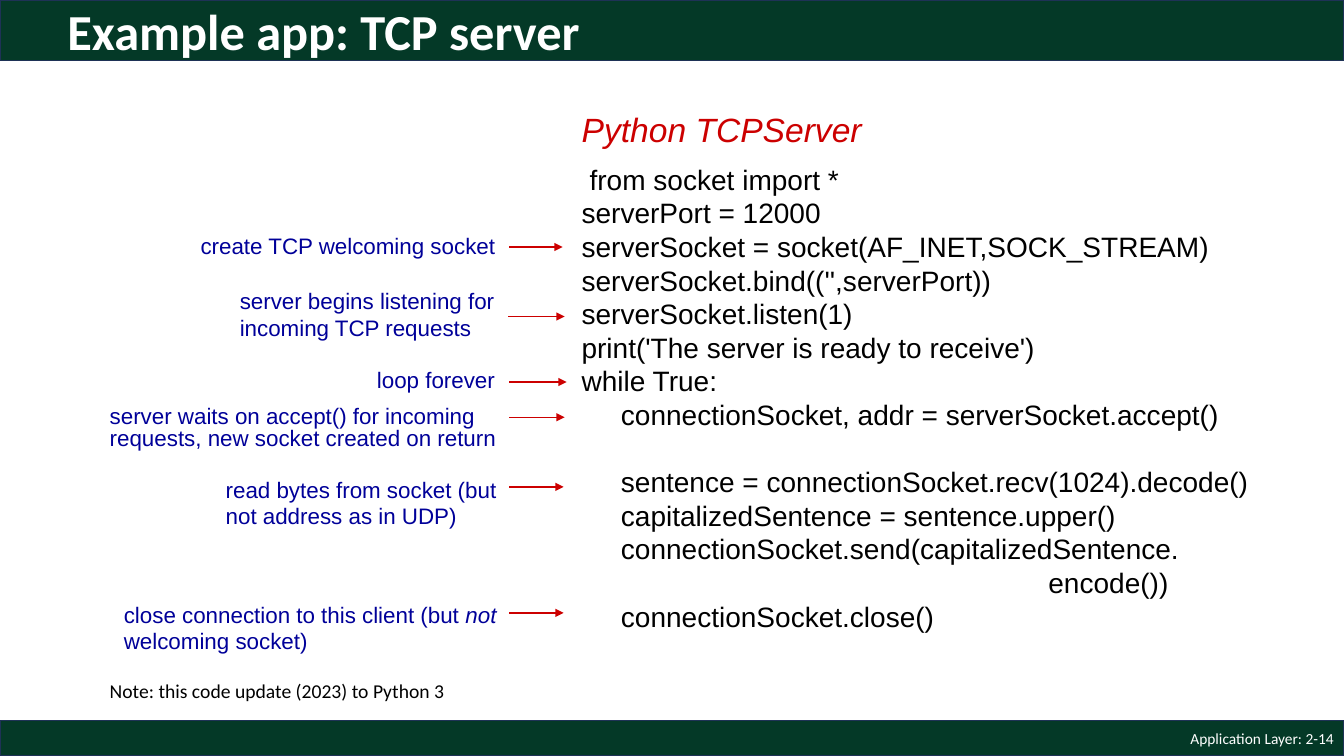
from dataclasses import dataclass

import pptx
import pptx.dml.color
import pptx.enum.shapes
import pptx.enum.text
import pptx.oxml.ns
import pptx.shapes.autoshape
import pptx.slide
import pptx.text.text
import pptx.util
from lxml import etree

PX = 9144  # EMU in one px, at 100 px to the inch
SLIDE_WIDTH, SLIDE_HEIGHT = 1333, 750
ALIGN = pptx.enum.text.PP_ALIGN
ANCHOR = pptx.enum.text.MSO_ANCHOR


@dataclass(frozen=True)
class Theme:
    bar: str = "043927"
    bar_edge: str = "1E3256"
    light: str = "FFFFFF"
    ink: str = "000000"
    note: str = "000099"
    accent: str = "CC0000"
    code_font: str = "Arial"
    frame_font: str = "Calibri"
    title_size: int = 36
    heading_size: int = 24
    code_size: int = 20
    note_size: int = 16
    remark_size: int = 14
    footer_size: int = 11
    leading: float = 1.2


THEME = Theme()


@dataclass(frozen=True)
class Area:
    left: int
    top: int
    width: int
    height: int

    def emu(self) -> tuple[int, int, int, int]:
        return self.left * PX, self.top * PX, self.width * PX, self.height * PX


@dataclass(frozen=True)
class Style:
    size: int
    color: str
    font: str = THEME.code_font
    bold: bool = False
    italic: bool = False


@dataclass(frozen=True)
class CodeLine:
    text: str
    indent: int = 0
    gap_lines: int = 0


@dataclass(frozen=True)
class Span:
    text: str
    italic: bool = False


@dataclass(frozen=True)
class Note:
    area: Area
    spans: tuple[Span, ...]
    arrow_start: int
    arrow_end: int
    arrow_y: int
    leading: float = THEME.leading


BODY_INDENT = 39
CODE = (
    CodeLine("from socket import *", 8),
    CodeLine("serverPort = 12000"),
    CodeLine("serverSocket = socket(AF_INET,SOCK_STREAM)"),
    CodeLine("serverSocket.bind(('',serverPort))"),
    CodeLine("serverSocket.listen(1)"),
    CodeLine("print('The server is ready to receive')"),
    CodeLine("while True:"),
    CodeLine("connectionSocket, addr = serverSocket.accept()", BODY_INDENT),
    CodeLine("sentence = connectionSocket.recv(1024).decode()", BODY_INDENT, gap_lines=1),
    CodeLine("capitalizedSentence = sentence.upper()", BODY_INDENT),
    CodeLine("connectionSocket.send(capitalizedSentence.", BODY_INDENT),
    CodeLine("encode())", 463),
    CodeLine("connectionSocket.close()", BODY_INDENT),
)
NOTES = (
    Note(Area(189, 225, 335, 37), (Span("create TCP welcoming socket"),), 505, 558, 245),
    Note(Area(228, 280, 314, 64),
         (Span("server begins listening for incoming TCP requests"),), 504, 560, 314),
    Note(Area(364, 363, 203, 33), (Span("loop forever"),), 505, 562, 379, leading=1),
    Note(Area(99, 398, 467, 55),
         (Span("server waits on accept() for incoming requests, new socket created on return"),),
         505, 560, 414, leading=1),
    Note(Area(214, 467, 300, 64),
         (Span("read bytes from socket (but not address as in UDP)"),), 505, 559, 483),
    Note(Area(113, 591, 427, 64),
         (Span("close connection to this client (but "), Span("not", italic=True),
          Span(" welcoming socket)")), 505, 559, 608),
)


def rgb(color: str) -> pptx.dml.color.RGBColor:
    return pptx.dml.color.RGBColor.from_string(color)


def add_bar(page: pptx.slide.Slide, area: Area) -> None:
    bar = page.shapes.add_shape(pptx.enum.shapes.MSO_SHAPE.RECTANGLE, *area.emu())
    bar.shadow.inherit = False
    bar.fill.solid()
    bar.fill.fore_color.rgb = rgb(THEME.bar)
    bar.line.color.rgb = rgb(THEME.bar_edge)
    bar.line.width = pptx.util.Pt(1)


def add_box(page: pptx.slide.Slide, area: Area,
            anchor: ANCHOR = ANCHOR.TOP) -> pptx.text.text.TextFrame:
    frame = page.shapes.add_textbox(*area.emu()).text_frame
    frame.word_wrap = True
    frame.vertical_anchor = anchor
    return frame


def add_span(para: pptx.text.text._Paragraph, text: str, style: Style,
             italic: bool = False) -> None:
    span = para.add_run()
    span.text = text
    span.font.name = style.font
    span.font.size = pptx.util.Pt(style.size)
    span.font.color.rgb = rgb(style.color)
    span.font.bold = style.bold
    span.font.italic = style.italic or italic


def add_label(page: pptx.slide.Slide, area: Area, text: str, style: Style,
              anchor: ANCHOR = ANCHOR.TOP, align: ALIGN = ALIGN.LEFT) -> None:
    para = add_box(page, area, anchor).paragraphs[0]
    para.alignment = align
    if style.font == THEME.code_font:
        para.line_spacing = pptx.util.Pt(style.size * THEME.leading)
    add_span(para, text, style)


def add_code(page: pptx.slide.Slide, area: Area, lines: tuple[CodeLine, ...]) -> None:
    style = Style(THEME.code_size, THEME.ink)
    pitch = pptx.util.Pt(style.size * THEME.leading)
    frame = add_box(page, area)
    for number, line in enumerate(lines):
        para = frame.add_paragraph() if number else frame.paragraphs[0]
        para.line_spacing = pitch
        para.space_before = pptx.util.Emu(line.gap_lines * pitch)
        para._p.get_or_add_pPr().set("marL", str(line.indent * PX))
        add_span(para, line.text, style)


def add_arrow(page: pptx.slide.Slide, start: int, end: int, y: int) -> None:
    arrow = page.shapes.add_connector(
        pptx.enum.shapes.MSO_CONNECTOR.STRAIGHT, start * PX, y * PX, end * PX, y * PX)
    arrow.line.color.rgb = rgb(THEME.accent)
    arrow.line.width = pptx.util.Pt(1)
    qn = pptx.oxml.ns.qn
    etree.SubElement(arrow.line._get_or_add_ln(), qn("a:tailEnd"), type="triangle")
    etree.SubElement(arrow._element.spPr, qn("a:effectLst"))


def add_note(page: pptx.slide.Slide, note: Note) -> None:
    style = Style(THEME.note_size, THEME.note)
    para = add_box(page, note.area).paragraphs[0]
    para.line_spacing = pptx.util.Pt(style.size * note.leading)
    for span in note.spans:
        add_span(para, span.text, style, span.italic)
    add_arrow(page, note.arrow_start, note.arrow_end, note.arrow_y)


def main() -> None:
    deck = pptx.Presentation()
    deck.slide_width, deck.slide_height = SLIDE_WIDTH * PX, SLIDE_HEIGHT * PX
    page = deck.slides.add_slide(deck.slide_layouts[6])
    add_bar(page, Area(0, 715, SLIDE_WIDTH, 35))
    add_bar(page, Area(0, 0, SLIDE_WIDTH, 60))
    add_label(page, Area(57, 5, 1150, 50), "Example app: TCP server",
              Style(THEME.title_size, THEME.light, THEME.frame_font, bold=True), ANCHOR.MIDDLE)
    add_label(page, Area(1033, 715, 300, 35), "Application Layer: 2-14",
              Style(THEME.footer_size, THEME.light, THEME.frame_font), ANCHOR.MIDDLE, ALIGN.RIGHT)
    add_code(page, Area(567, 156, 686, 481), CODE)
    add_label(page, Area(567, 103, 309, 51), "Python TCPServer",
              Style(THEME.heading_size, THEME.accent, italic=True))
    for note in NOTES:
        add_note(page, note)
    add_label(page, Area(99, 669, 356, 34), "Note: this code update (2023) to Python 3",
              Style(THEME.remark_size, THEME.ink, THEME.frame_font))
    deck.save("out.pptx")


if __name__ == "__main__":
    main()
